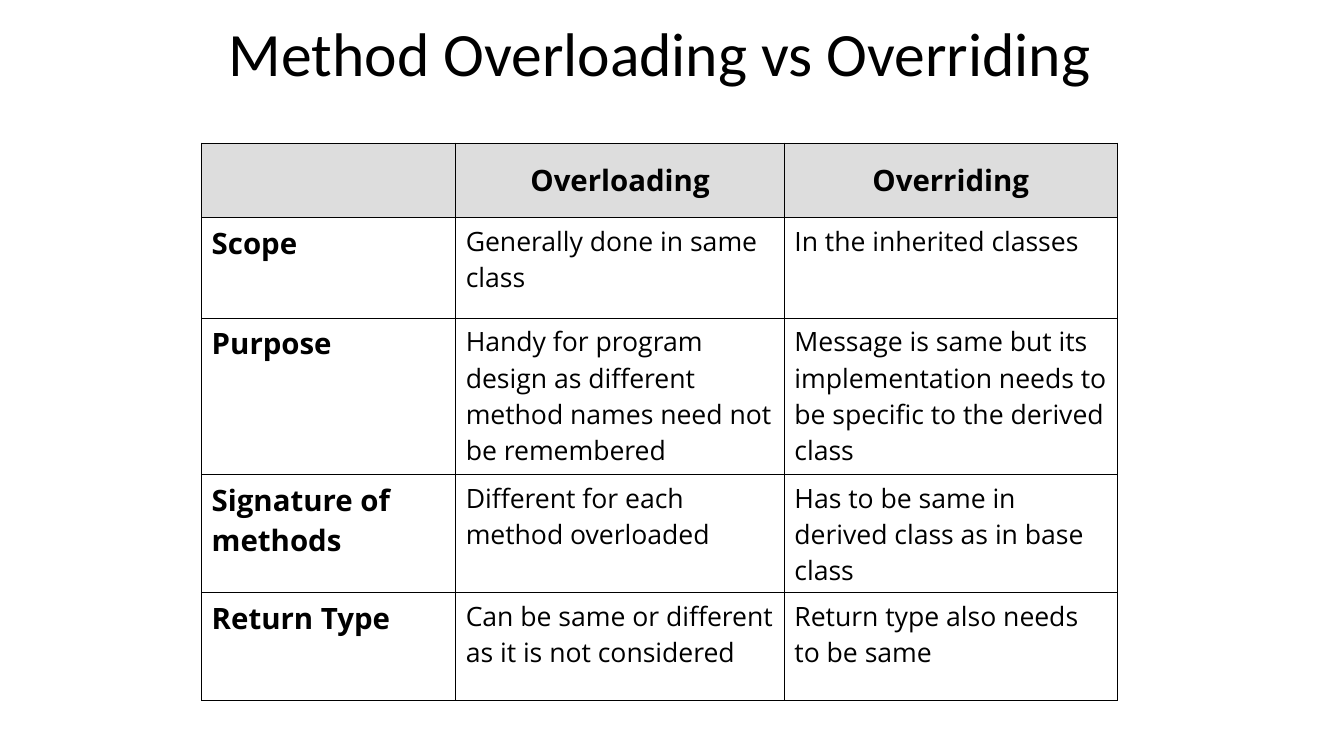
from lxml.etree import SubElement
from pptx import Presentation
from pptx.dml.color import RGBColor
from pptx.enum.text import MSO_ANCHOR as Anchor, PP_ALIGN as Align
from pptx.oxml.ns import qn
from pptx.util import Inches, Pt

BLACK = "000000"
HEADER_GRAY = "DDDDDD"


def color(hex_text):
    return RGBColor.from_string(hex_text)


def write(frame, text, size, font="Open Sans", bold=False, align=Align.LEFT, spacing=1.0):
    paragraph = frame.paragraphs[0]
    paragraph.alignment = align
    paragraph.line_spacing = spacing
    run = paragraph.add_run()
    run.text = text
    run.font.name = font
    run.font.size = Pt(size)
    run.font.bold = bold
    run.font.color.rgb = color(BLACK)


presentation = Presentation()
presentation.slide_width = Inches(13.33)
presentation.slide_height = Inches(7.5)
slide = presentation.slides.add_slide(presentation.slide_layouts[6])

title = slide.shapes.add_textbox(Inches(2.17), Inches(0.17), Inches(9), Inches(0.78))
title.text_frame.word_wrap = True
title.text_frame.vertical_anchor = Anchor.MIDDLE
write(title.text_frame, "Method Overloading vs Overriding", 44, font="Calibri", spacing=0.9)

comparison = [
    ("", "Overloading", "Overriding"),
    ("Scope", "Generally done in same class", "In the inherited classes"),
    ("Purpose",
     "Handy for program design as different method names need not be remembered",
     "Message is same but its implementation needs to be specific to the derived class"),
    ("Signature of methods",
     "Different for each method overloaded",
     "Has to be same in derived class as in base class"),
    ("Return Type",
     "Can be same or different as it is not considered",
     "Return type also needs to be same"),
]
column_widths = [2.52, 3.26, 3.3]
row_heights = [0.74, 1, 1.55, 1.17, 1.07]

table = slide.shapes.add_table(
    len(row_heights), len(column_widths), Inches(2), Inches(1.42),
    Inches(sum(column_widths)), Inches(sum(row_heights))).table
table.horz_banding = False
for column, width in zip(table.columns, column_widths):
    column.width = Inches(width)
for row, height in zip(table.rows, row_heights):
    row.height = Inches(height)

for row_index, texts in enumerate(comparison):
    for column_index, text in enumerate(texts):
        cell = table.cell(row_index, column_index)
        is_header = row_index == 0
        is_heading = is_header or column_index == 0
        cell.vertical_anchor = Anchor.MIDDLE if is_header else Anchor.TOP
        if text:
            write(cell.text_frame, text, 21 if is_heading else 19, bold=is_heading,
                  align=Align.CENTER if is_header else Align.LEFT)
        properties = cell._tc.get_or_add_tcPr()
        for side in ("a:lnL", "a:lnR", "a:lnT", "a:lnB"):
            border = SubElement(properties, qn(side), w=str(Pt(1)))
            border_fill = SubElement(border, qn("a:solidFill"))
            SubElement(border_fill, qn("a:srgbClr"), val=BLACK)
        if is_header:
            cell.fill.solid()
            cell.fill.fore_color.rgb = color(HEADER_GRAY)
        else:
            cell.fill.background()

presentation.save("out.pptx")
